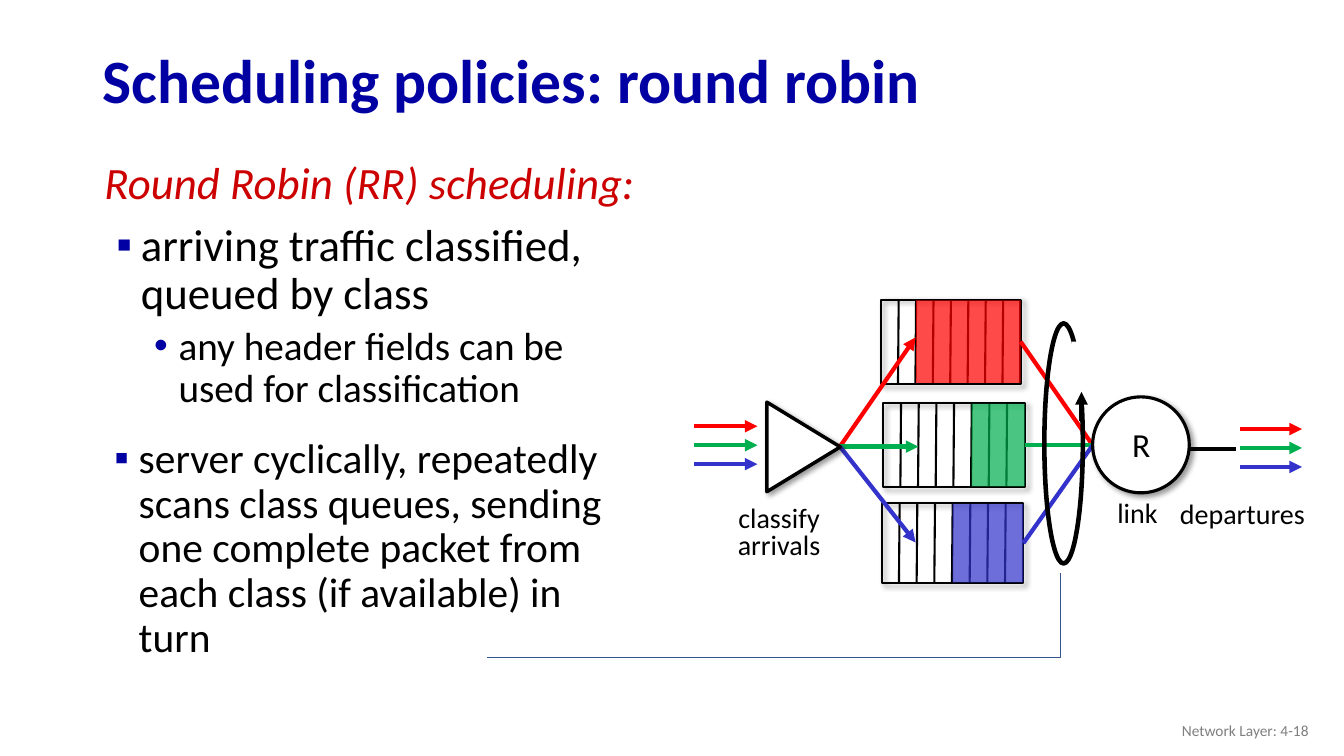
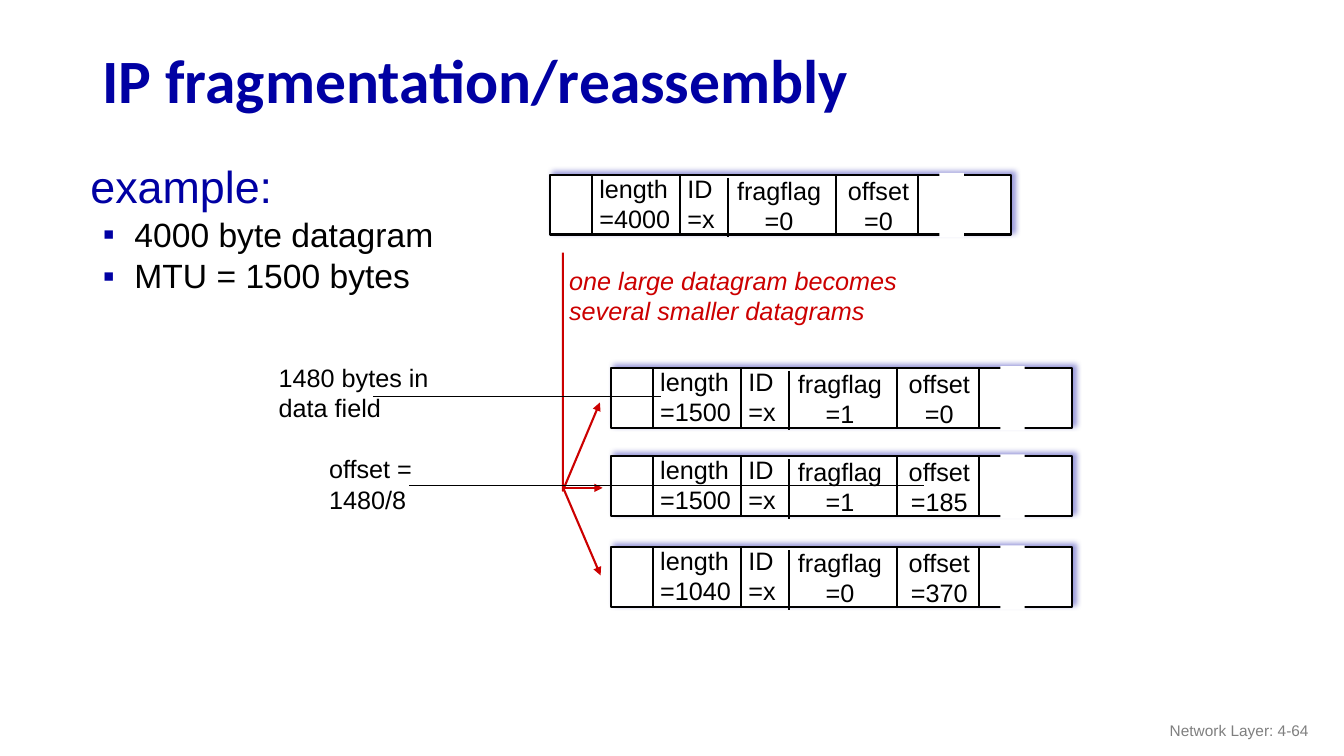
"""Build two lecture slides: round robin scheduling and IP fragmentation."""
import dataclasses

import lxml.etree
import pptx
import pptx.dml.color
import pptx.enum.shapes
import pptx.enum.text
import pptx.oxml.ns
import pptx.util

Pt = pptx.util.Pt
qn = pptx.oxml.ns.qn
Preset = pptx.enum.shapes.MSO_SHAPE
Align = pptx.enum.text.PP_ALIGN


@dataclasses.dataclass(frozen=True)
class Theme:
    sans: str = "Calibri"
    plain: str = "Arial"
    navy: str = "0000A3"
    crimson: str = "CC0000"
    black: str = "000000"
    white: str = "FFFFFF"
    gray: str = "7F7F7F"
    steel: str = "31538F"
    red: str = "FF0000"
    green: str = "00B050"
    blue: str = "3333CC"
    title: float = 44
    heading: float = 32
    body: float = 29.6
    detail: float = 28
    point: float = 24
    label: float = 20
    field: float = 18
    footer: float = 11


theme = Theme()


@dataclasses.dataclass(frozen=True)
class Style:
    size: float
    font: str = theme.sans
    color: str = theme.black
    italic: bool = False
    align: Align = Align.LEFT
    spacing: float = 1.0
    before: float = 0
    bullet: str = ""
    left: float = 0
    hanging: float = 0
    wrap: bool = False


def add_shape(page, preset, frame, fill=None, line_width=0, shadow=None):
    """Add a preset shape; shadow is a colour and a direction in degrees."""
    shape = page.shapes.add_shape(preset, *map(Pt, frame))
    shape.shadow.inherit = False
    if fill:
        shape.fill.solid()
        shape.fill.fore_color.rgb = pptx.dml.color.RGBColor.from_string(fill)
    else:
        shape.fill.background()
    if line_width:
        shape.line.width = Pt(line_width)
        shape.line.color.rgb = pptx.dml.color.RGBColor.from_string(theme.black)
    else:
        shape.line.fill.background()
    if shadow:
        color, degrees = shadow
        outer = lxml.etree.SubElement(
            shape.element.spPr.find(qn("a:effectLst")), qn("a:outerShdw"),
            blurRad=str(Pt(4)), dist=str(Pt(3)), dir=str(degrees * 60000),
            algn="ctr", rotWithShape="0")
        tint = lxml.etree.SubElement(outer, qn("a:srgbClr"), val=color)
        lxml.etree.SubElement(tint, qn("a:alpha"), val="40000")
    return shape


def add_line(page, points, color, width, arrow=False):
    """Add a connector through two points, or an open outline through more."""
    ends = [(Pt(x), Pt(y)) for x, y in points]
    if len(ends) == 2:
        line = page.shapes.add_connector(
            pptx.enum.shapes.MSO_CONNECTOR.STRAIGHT, *ends[0], *ends[1])
    else:
        outline = page.shapes.build_freeform(*ends[0])
        outline.add_line_segments(ends[1:], close=False)
        line = outline.convert_to_shape()
        line.fill.background()
    line.line.color.rgb = pptx.dml.color.RGBColor.from_string(color)
    line.line.width = Pt(width)
    properties = line.element.spPr
    if arrow:
        lxml.etree.SubElement(properties.find(qn("a:ln")), qn("a:tailEnd"), type="triangle")
    lxml.etree.SubElement(properties, qn("a:effectLst"))
    return line


deck = pptx.Presentation()
deck.slide_width, deck.slide_height = Pt(960), Pt(540)

pages = []
texts = []
for heading, number, footer_font in (
    ("Scheduling policies: round robin", 18, theme.sans),
    ("IP fragmentation/reassembly", 64, theme.plain),
):
    page = deck.slides.add_slide(deck.slide_layouts[5])
    pages.append(page)
    title = page.shapes.title
    title.left, title.top, title.width, title.height = map(Pt, (66, 24.5, 828, 70.5))
    title.text_frame.vertical_anchor = pptx.enum.text.MSO_ANCHOR.MIDDLE
    title.text_frame.text = heading
    para = title.text_frame.paragraphs[0]
    para.alignment = Align.LEFT
    para.line_spacing = 0.9
    para.font.name = theme.sans
    para.font.size = Pt(theme.title)
    para.font.bold = True
    para.font.color.rgb = pptx.dml.color.RGBColor.from_string(theme.navy)
    footer = Style(theme.footer, footer_font, theme.gray, align=Align.RIGHT, wrap=True)
    texts.append((page, (726, 511.5, 216, 21), [(footer, f"Network Layer: 4-{number}")]))
robin_page, fragment_page = pages

add_line(robin_page, [(847, 320.5), (883, 320.5)], theme.black, 3)
soft_shadow = (theme.black, 45)
queues = []
for flow, (color, frame, empty_cells, arrow_tip) in enumerate((
    (theme.red, (629.5, 214, 99.5, 60), 2, (654, 241)),
    (theme.green, (631, 288, 101, 60), 5, (656, 319)),
    (theme.blue, (630, 359.5, 101, 57), 4, (654, 387.5)),
)):
    left, top, width, height = frame
    cell = width / 8
    queue = add_shape(robin_page, Preset.RECTANGLE, frame, None, 1.5, soft_shadow)
    queues.append((color, queue))
    for index in range(1, 8):
        x = left + index * cell
        add_line(robin_page, [(x, top), (x - 0.5, top + height)], theme.black, 1.5)
    packets = add_shape(
        robin_page, Preset.RECTANGLE,
        (left + empty_cells * cell, top + 0.5, width - empty_cells * cell, height - 1), color)
    tint = packets.element.spPr.find(qn("a:solidFill"))[0]
    lxml.etree.SubElement(tint, qn("a:alpha"), val="71000")
    for start, end, y in ((496, 541, 304.5), (885.5, 930, 306.5)):
        y += flow * 13.5
        add_line(robin_page, [(start, y), (end, y)], color, 3, arrow=True)
    add_line(robin_page, [(600, 319), arrow_tip], color, 3, arrow=True)

for color, queue in queues:
    link = add_line(robin_page, [(730, 318), (780.5, 318)], color, 3)
    link.begin_connect(queue, 3)

classifier = add_shape(robin_page, Preset.ISOSCELES_TRIANGLE, (542, 293, 64, 52.5),
                       theme.white, 2.5, soft_shadow)
classifier.rotation = 90
add_shape(robin_page, Preset.OVAL, (780.5, 283.5, 69, 68.5), theme.white, 2.25, soft_shadow)
add_shape(robin_page, Preset.OVAL, (746, 231, 27.5, 171.5), None, 3.25)
add_shape(robin_page, Preset.RECTANGLE, (765.5, 244, 15, 46), theme.white)
add_line(robin_page, [(772.5, 301), (772.5, 280)], theme.black, 3, arrow=True)
add_line(robin_page, [(348, 469.5), (757.5, 469.5), (757.5, 409.5)], theme.steel, 1)

robin_heading = Style(theme.heading, color=theme.crimson, italic=True, spacing=0.9,
                      left=28, hanging=17.5, wrap=True)
robin_point = Style(theme.heading, spacing=0.9, before=10, bullet="▪",
                    left=36.5, hanging=17.5, wrap=True)
robin_detail = Style(theme.detail, spacing=0.9, before=5, bullet="•",
                     left=63.5, hanging=17.5, wrap=True)
server_point = dataclasses.replace(robin_point, size=theme.body, before=0)
label = Style(theme.label, align=Align.CENTER, spacing=0.8)
router = dataclasses.replace(label, size=theme.point)
texts += [
    (robin_page, (57, 111, 406, 198), [
        (robin_heading, "Round Robin (RR) scheduling:"),
        (robin_point, "arriving traffic classified, queued by class"),
        (robin_detail, "any header fields can be used for classification")]),
    (robin_page, (55.5, 309, 406, 185), [
        (server_point, "server cyclically, repeatedly scans class queues, sending "
                       "one complete packet from each class (if available) in turn")]),
    (robin_page, (517.5, 358.5, 78, 47), [(label, "classify"), (label, "arrivals")]),
    (robin_page, (835, 355.5, 105, 27.5), [(label, "departures")]),
    (robin_page, (790.5, 355, 44, 27.5), [(label, "link")]),
    (robin_page, (801.5, 304.5, 27, 31), [(router, "R")]),
]

field = Style(theme.field, theme.plain)
centered = dataclasses.replace(field, align=Align.CENTER)
for left, top, length, flag, offset in (
    (393, 125, 4000, 0, 0),
    (436.5, 263, 1500, 1, 0),
    (436.5, 326, 1500, 1, 185),
    (436.5, 391, 1040, 0, 370),
):
    add_shape(fragment_page, Preset.RECTANGLE, (left, top, 329, 42.5),
              theme.white, 1.5, (theme.navy, 315))
    for shift, drop in ((30, 0), (93, 0), (127, 2), (204, 0), (263, 0)):
        x = left + shift
        add_line(fragment_page, [(x, top + drop), (x, top + drop + 42.5)], theme.black, 1.5)
    add_shape(fragment_page, Preset.RECTANGLE, (left + 278, top - 1.5, 17.5, 46), theme.white)
    for name, value, style, shift, rise, width in (
        ("length", length, field, 28, 5, 68),
        ("ID", "x", field, 91, 5, 38),
        ("fragflag", flag, centered, 121.5, 3.5, 84),
        ("offset", offset, centered, 201.5, 3.5, 66),
    ):
        texts.append((fragment_page, (left + shift, top - rise, width, 50.5),
                      [(style, name), (style, f"={value}")]))

for points in (
    [(402, 180.5), (402, 350.5), (428.5, 287.5)],
    [(402, 348.5), (430.5, 348.5)],
    [(402.5, 349), (429, 411)],
):
    add_line(fragment_page, points, theme.crimson, 1.5, arrow=True)
for start, end, y in ((266.5, 472.5, 283), (292.5, 660, 346.5)):
    add_line(fragment_page, [(start, y), (end, y)], theme.black, 0.75)

example = Style(theme.heading, theme.plain, theme.navy, spacing=0.85, before=6.5, wrap=True)
example_point = Style(theme.point, theme.plain, spacing=0.85, before=5, bullet="▪",
                      left=31.5, hanging=22.5, wrap=True)
remark = dataclasses.replace(field, color=theme.crimson, italic=True)
texts += [
    (fragment_page, (57.5, 116, 300, 132), [
        (example, "example:"),
        (example_point, "4000 byte datagram"),
        (example_point, "MTU = 1500 bytes")]),
    (fragment_page, (399.5, 186, 252, 50.5), [
        (remark, "one large datagram becomes"), (remark, "several smaller datagrams")]),
    (fragment_page, (192, 255, 127, 50.5), [
        (field, "1480 bytes in"), (field, "data field")]),
    (fragment_page, (228, 320.5, 78, 50.5), [(field, "offset ="), (field, "1480/8")]),
]

for page, frame, lines in texts:
    box = page.shapes.add_textbox(*map(Pt, frame))
    box.text_frame.word_wrap = lines[0][0].wrap
    box.text_frame.text = "\n".join(text for _, text in lines)
    for para, (style, _) in zip(box.text_frame.paragraphs, lines):
        para.alignment = style.align
        para.line_spacing = style.spacing
        para.space_before = Pt(style.before)
        if style.left:
            properties = para._p.get_or_add_pPr()
            properties.set("marL", str(Pt(style.left)))
            properties.set("indent", str(-Pt(style.hanging)))
            if style.bullet:
                tint = lxml.etree.SubElement(properties, qn("a:buClr"))
                lxml.etree.SubElement(tint, qn("a:srgbClr"), val=theme.navy)
                lxml.etree.SubElement(properties, qn("a:buFont"), typeface=theme.plain)
                lxml.etree.SubElement(properties, qn("a:buChar"), char=style.bullet)
        para.font.name = style.font
        para.font.size = Pt(style.size)
        para.font.italic = style.italic
        para.font.color.rgb = pptx.dml.color.RGBColor.from_string(style.color)

deck.save("out.pptx")
